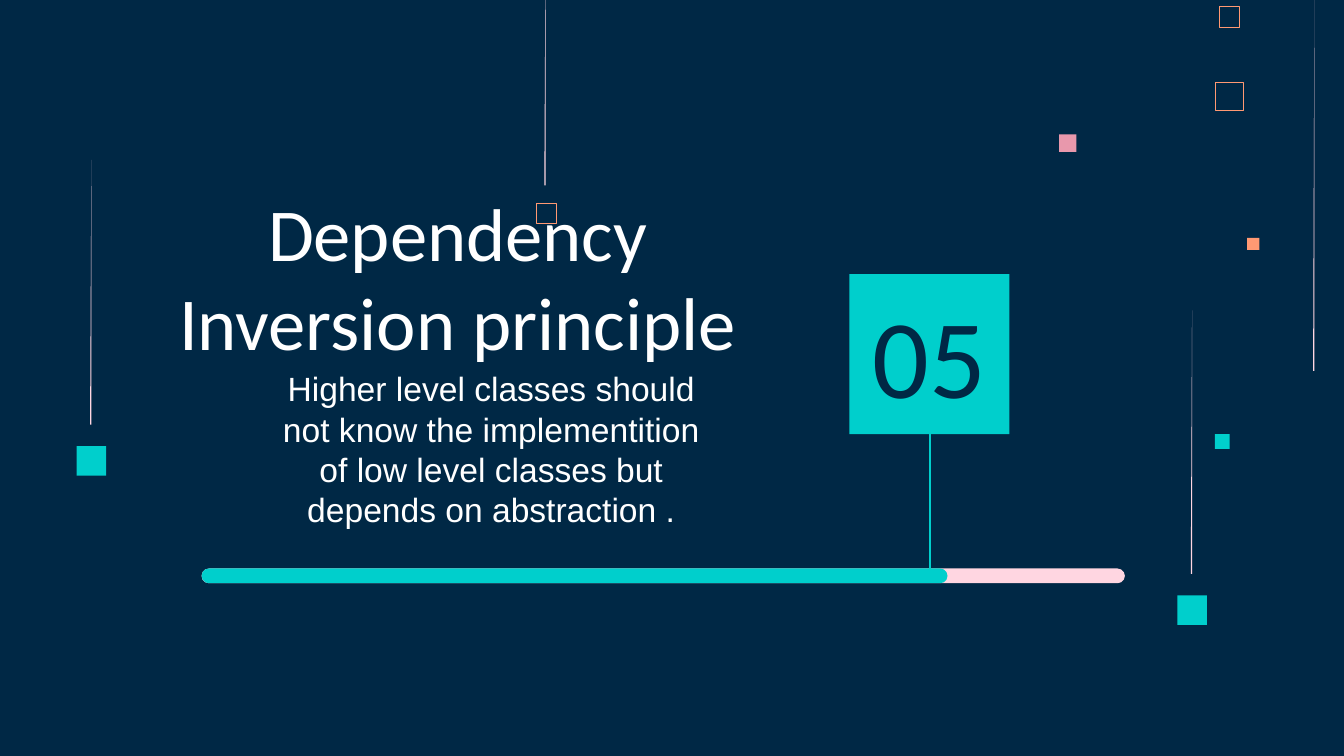
from lxml import etree
from pptx import Presentation
from pptx.dml.color import RGBColor
from pptx.enum.shapes import MSO_CONNECTOR, MSO_SHAPE
from pptx.enum.text import MSO_ANCHOR, PP_ALIGN
from pptx.oxml.ns import qn
from pptx.util import Inches, Pt

RECTANGLE = MSO_SHAPE.RECTANGLE
PILL = MSO_SHAPE.ROUNDED_RECTANGLE
STRAIGHT = MSO_CONNECTOR.STRAIGHT
TOP, MIDDLE, BOTTOM = MSO_ANCHOR.TOP, MSO_ANCHOR.MIDDLE, MSO_ANCHOR.BOTTOM
CENTER = PP_ALIGN.CENTER

NAVY, TEAL, WHITE = "002845", "00CFCC", "FFFFFF"
ORANGE, ROSE, BLUSH = "FF9973", "E898AC", "FFD6E1"


def color(value):
    return RGBColor.from_string(value)


def style_shape(shape, fill=None, line=None, line_width=0.32):
    shape.shadow.inherit = False
    if fill:
        shape.fill.solid()
        shape.fill.fore_color.rgb = color(fill)
    else:
        shape.fill.background()
    if line:
        shape.line.color.rgb = color(line)
        shape.line.width = Pt(line_width)
    else:
        shape.line.fill.background()


def add_square(page, left, top, side, **style):
    square = page.shapes.add_shape(
        RECTANGLE, Inches(left), Inches(top), Inches(side), Inches(side))
    style_shape(square, **style)


def add_ray(page, left, top, bottom):
    """Draw a sliver that tapers to a point at its top."""
    right = Inches(left + 0.01)
    builder = page.shapes.build_freeform(right, Inches(top))
    builder.add_line_segments(
        [(Inches(left), Inches(bottom)), (right, Inches(bottom))], close=True)
    style_shape(builder.convert_to_shape(), fill=BLUSH)


def add_bar(page, width, fill):
    bar = page.shapes.add_shape(
        PILL, Inches(1.5), Inches(4.23), Inches(width), Inches(0.11))
    bar.adjustments[0] = 0.5
    style_shape(bar, fill=fill)


def add_stem(page, x, top, bottom):
    stem = page.shapes.add_connector(
        STRAIGHT, Inches(x), Inches(top), Inches(x), Inches(bottom))
    stem.line.color.rgb = color(TEAL)
    stem.line.width = Pt(1.5)
    properties = stem.element.find(qn("p:spPr"))
    etree.SubElement(properties, qn("a:effectLst"))


def add_text(page, text, left, top, width, height, *, size, font="Calibri",
             fill=WHITE, anchor=TOP):
    box = page.shapes.add_textbox(
        Inches(left), Inches(top), Inches(width), Inches(height))
    frame = box.text_frame
    frame.word_wrap = True
    frame.vertical_anchor = anchor
    frame.margin_left = frame.margin_right = Inches(0.1)
    frame.margin_top = frame.margin_bottom = Inches(0.1)
    para = frame.paragraphs[0]
    para.alignment = CENTER
    para.line_spacing = 1.0
    span = para.add_run()
    span.text = text
    span.font.size = Pt(size)
    span.font.name = font
    span.font.color.rgb = color(fill)


def add_decoration(page):
    # Filled squares
    for left, top, side, fill in [
        (7.88, 1, 0.13, ROSE), (9.04, 3.23, 0.11, TEAL),
        (9.28, 1.77, 0.09, ORANGE), (8.76, 4.43, 0.22, TEAL),
        (0.57, 3.32, 0.22, TEAL),
    ]:
        add_square(page, left, top, side, fill=fill)
    # Outlined squares
    for left, top, side, line_width in [
        (9.04, 0.61, 0.21, 0.45), (9.07, 0.05, 0.15, 0.32),
        (3.99, 1.51, 0.15, 0.32),
    ]:
        add_square(page, left, top, side, line=ORANGE, line_width=line_width)
    # Tapering vertical rays
    for left, top, bottom in [
        (4.05, -0.48, 1.38), (9.77, 0, 2.76),
        (8.86, 2.31, 4.27), (0.67, 1.19, 3.16),
    ]:
        add_ray(page, left, top, bottom)


def main():
    # Widescreen page, 16 to 9
    deck = Presentation()
    deck.slide_width, deck.slide_height = Inches(10), Inches(10 * 9 / 16)
    page = deck.slides.add_slide(deck.slide_layouts[6])
    page.background.fill.solid()
    page.background.fill.fore_color.rgb = color(NAVY)
    add_decoration(page)

    # Section title and statement
    add_text(page, "Dependency Inversion principle", 1.18, 1.9, 4.45, 0.92,
             size=40, anchor=BOTTOM)
    add_text(page, "Higher level classes should not know the implementition "
             "of low level classes but depends on abstraction .",
             1.96, 2.64, 3.39, 1.15, size=18, font="Arial")

    # Section number
    add_square(page, 6.32, 2.04, 1.19, fill=TEAL)
    add_text(page, "05", 6.38, 2.32, 1.07, 0.63,
             size=60, fill=NAVY, anchor=MIDDLE)

    # Progress bar and its marker
    add_bar(page, 6.87, BLUSH)
    add_bar(page, 5.55, TEAL)
    add_stem(page, 6.92, 3.23, 4.3)

    deck.save("out.pptx")


main()
